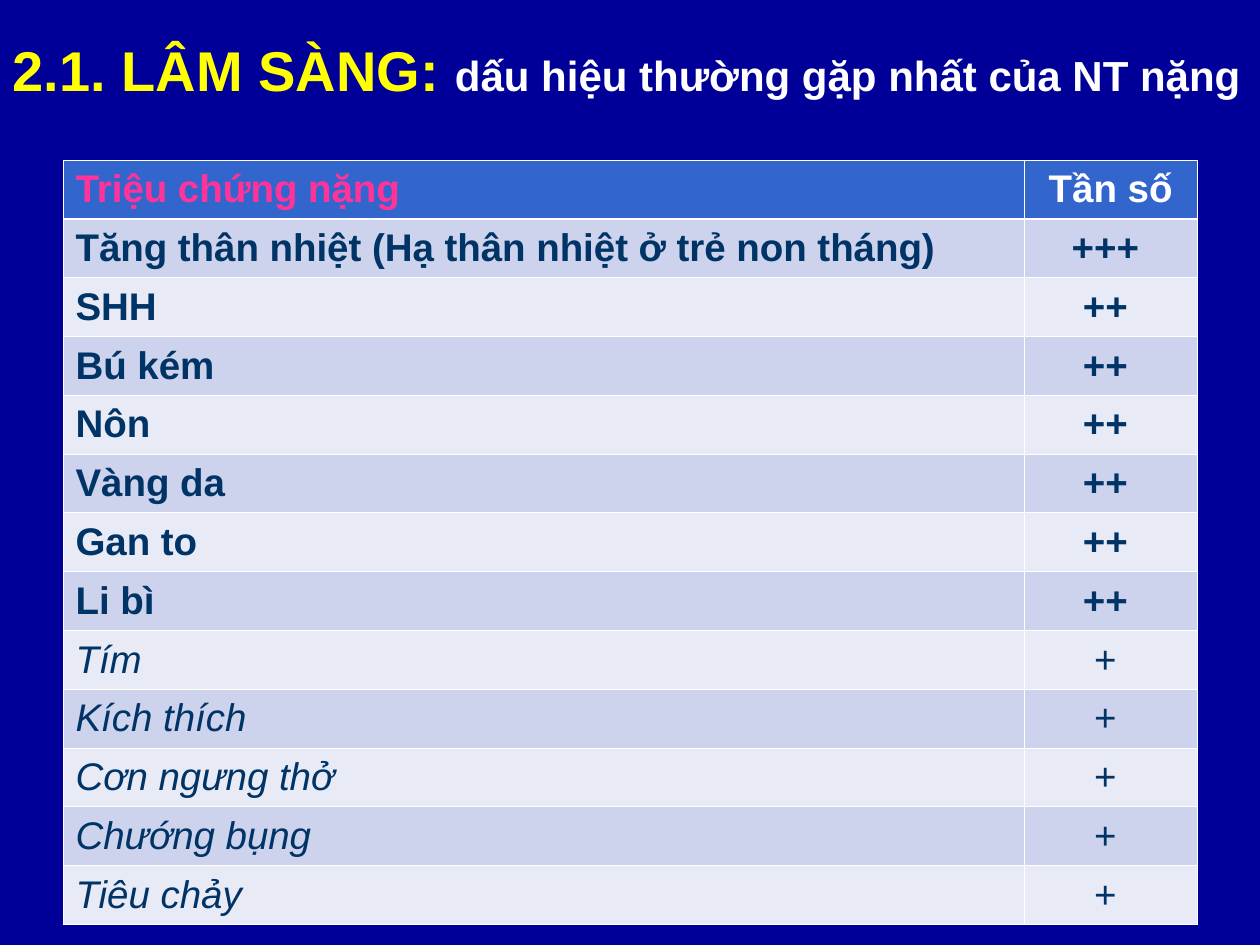
from lxml import etree
from pptx import Presentation
from pptx.dml.color import RGBColor
from pptx.enum.text import MSO_ANCHOR as Anchor, PP_ALIGN as Align
from pptx.oxml.ns import qn
from pptx.util import Inches, Pt

COLORS = {
    "background": "000099",
    "title": "FFFF00",
    "white": "FFFFFF",
    "header": "3366CC",
    "accent": "FF3399",
    "text": "003366",
    "odd": "CDD3EC",
    "even": "E8EAF6",
}

HEADER = ("Triệu chứng nặng", "Tần số")
MAIN_SIGNS = [
    ("Tăng thân nhiệt (Hạ thân nhiệt ở trẻ non tháng)", "+++ "),
    ("SHH", "++ "),
    ("Bú kém", "++ "),
    ("Nôn", "++ "),
    ("Vàng da", "++ "),
    ("Gan to", "++ "),
    ("Li bì", "++ "),
]
MINOR_SIGNS = [(sign, "+ ") for sign in
               ("Tím", "Kích thích", "Cơn ngưng thở", "Chướng bụng", "Tiêu chảy")]


def rgb(name):
    return RGBColor.from_string(COLORS[name])


def add_text(p, text, size=22, color="text", bold=True, italic=False, font="Arial"):
    r = p.add_run()
    r.text = text
    r.font.name = font
    r.font.size = Pt(size)
    r.font.bold = bold
    r.font.italic = italic
    r.font.color.rgb = rgb(color)


def set_borders(cell, **widths):
    """Draw white borders; widths in points, keyed by side L, R, T, B."""
    tcPr = cell._tc.get_or_add_tcPr()
    for i, (side, width) in enumerate(widths.items()):
        ln = etree.Element(qn(f"a:ln{side}"), w=str(Pt(width)))
        fill = etree.SubElement(ln, qn("a:solidFill"))
        etree.SubElement(fill, qn("a:srgbClr"), val=COLORS["white"])
        tcPr.insert(i, ln)


class SlideBuilder:
    thin, thick = 0.45, 1.47

    def __init__(self, prs):
        self.s = prs.slides.add_slide(prs.slide_layouts[5])
        self.s.background.fill.solid()
        self.s.background.fill.fore_color.rgb = rgb("background")

    def title(self, left, top, width, height, parts):
        sp = self.s.shapes.title
        sp.left, sp.top = Inches(left), Inches(top)
        sp.width, sp.height = Inches(width), Inches(height)
        tf = sp.text_frame
        tf.word_wrap = True
        tf.vertical_anchor = Anchor.MIDDLE
        p = tf.paragraphs[0]
        p.alignment = Align.LEFT
        for text, style in parts:
            add_text(p, text, **style)

    def cell(self, cell, text, fill, align, top, bottom, **style):
        cell.fill.solid()
        cell.fill.fore_color.rgb = rgb(fill)
        cell.vertical_anchor = Anchor.MIDDLE
        set_borders(cell, L=self.thin, R=self.thin, T=top, B=bottom)
        p = cell.text_frame.paragraphs[0]
        p.alignment = align
        add_text(p, text, **style)

    def table(self, left, top, col_widths, row_height, rows):
        """Rows are pairs of texts and styles; the first one is the header."""
        frame = self.s.shapes.add_table(
            len(rows), len(col_widths), Inches(left), Inches(top),
            Inches(sum(col_widths)), Inches(row_height * len(rows)))
        table = frame.table
        for col, width in zip(table.columns, col_widths):
            col.width = Inches(width)
        for i, (texts, styles) in enumerate(rows):
            table.rows[i].height = Inches(row_height)
            fill = "header" if i == 0 else "odd" if i % 2 else "even"
            top_line = self.thick if i == 1 else self.thin
            bottom_line = self.thick if i == 0 else self.thin
            for j, align in enumerate((Align.LEFT, Align.CENTER)):
                self.cell(table.cell(i, j), texts[j], fill, align,
                          top_line, bottom_line, **styles[j])


def main():
    prs = Presentation()
    prs.slide_width, prs.slide_height = Inches(10), Inches(7.5)
    slide = SlideBuilder(prs)
    slide.title(0, 0.17, 10.5, 0.75, [
        ("2.1. LÂM SÀNG: ", dict(size=32, color="title")),
        ("dấu hiệu thường gặp nhất của NT nặng", dict(size=24, color="white")),
    ])
    rows = [(HEADER, (dict(color="accent"), dict(color="white")))]
    rows += [(texts, ({}, {})) for texts in MAIN_SIGNS]
    rows += [(texts, (dict(bold=False, italic=True), dict(bold=False)))
             for texts in MINOR_SIGNS]
    slide.table(0.5, 1.27, (7.63, 1.37), 6.07 / len(rows), rows)
    prs.save("out.pptx")


if __name__ == "__main__":
    main()
